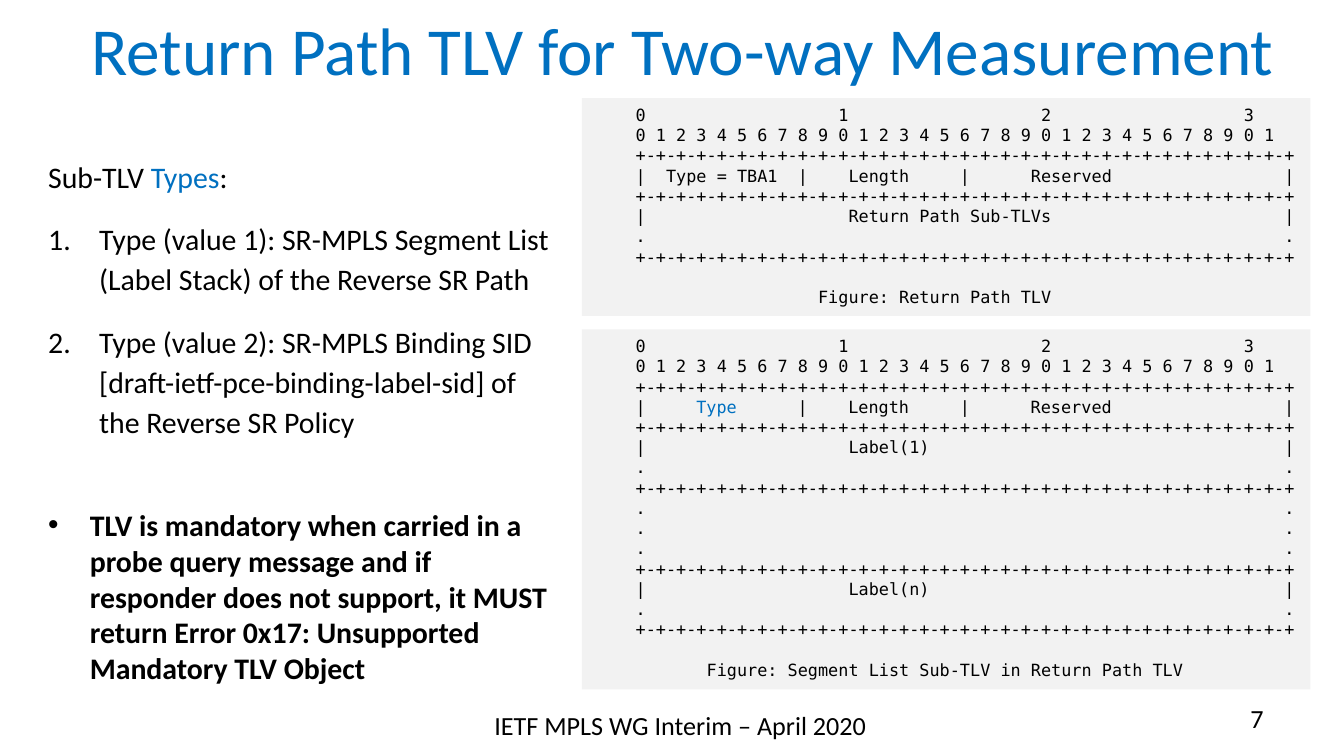
from lxml.etree import SubElement
from pptx import Presentation
from pptx.dml.color import RGBColor
from pptx.enum.shapes import MSO_SHAPE
from pptx.enum.text import MSO_ANCHOR, PP_ALIGN
from pptx.oxml.ns import qn
from pptx.util import Inches, Pt

BLACK, BLUE, GRAY = "000000", "0070C0", "F2F2F2"
BODY, MONO = "Calibri", "DejaVu Sans Mono"

TITLE = "Return Path TLV for Two-way Measurement"
FOOTER = "IETF MPLS WG Interim – April 2020 "
PAGE = "7"
TYPES_LEAD = "Sub-TLV *Types*:"
TYPES = [
    "Type (value 1): SR-MPLS Segment List (Label Stack) of the Reverse SR Path",
    "Type (value 2): SR-MPLS Binding SID [draft-ietf-pce-binding-label-sid] of the Reverse SR Policy",
]
MANDATORY = ("TLV is mandatory when carried in a probe query message and if responder "
             "does not support, it MUST return Error 0x17: Unsupported Mandatory TLV Object")

BITS = 32
MARGIN = " " * 4
RULE = MARGIN + "+-" * BITS + "+"
DOTS = MARGIN + "." + " " * (2 * BITS - 1) + "."
RULER = [
    MARGIN + "".join(f"{n:<20}" for n in range(4)).rstrip(),
    MARGIN + " ".join(str(n % 10) for n in range(BITS)),
]


def fields(*cells):
    """Return one packet row with its cells between bars."""
    return MARGIN + "|" + "|".join(cells) + "|"


def wide(label):
    """Return one packet row holding a single full-width field."""
    return fields((" " * 20 + label).ljust(2 * BITS - 1))


LENGTH, RESERVED = "    Length     ", "      Reserved".ljust(31)
PACKETS = [
    (0.73, 1.62, RULER + [
        RULE, fields("  Type = TBA1  ", LENGTH, RESERVED),
        RULE, wide("Return Path Sub-TLVs"), DOTS, RULE,
    ], " " * 22 + "Figure: Return Path TLV"),
    (2.45, 2.68, RULER + [
        RULE, fields("     *Type*      ", LENGTH, RESERVED),
        RULE, wide("Label(1)"), DOTS, RULE, DOTS, DOTS, DOTS,
        RULE, wide("Label(n)"), DOTS, RULE,
    ], " " * 11 + "Figure: Segment List Sub-TLV in Return Path TLV"),
]


def rgb(color):
    """Return a colour from its hex string."""
    return RGBColor.from_string(color)


def write(tf, lines, size, font=BODY, color=BLACK, bold=False, align=PP_ALIGN.LEFT):
    """Fill a text frame, with starred words in blue, and return its paragraphs."""
    tf.word_wrap = True
    for i, line in enumerate(lines):
        p = tf.add_paragraph() if i else tf.paragraphs[0]
        p.alignment = align
        for j, text in enumerate(line.split("*")):
            r = p.add_run()
            r.text = text
            r.font.color.rgb = rgb(BLUE if j % 2 else color)
        for part in (p, *p.runs):
            part.font.size, part.font.name, part.font.bold = Pt(size), font, bold
    return tf.paragraphs


def add_text(box, lines, size, **style):
    """Add a text box and return its text frame."""
    tf = s.shapes.add_textbox(*map(Inches, box)).text_frame
    write(tf, lines, size, **style)
    return tf


def add_bullet(p, indent, tag, **attrs):
    """Give a paragraph a hanging bullet or number."""
    pPr = p._p.get_or_add_pPr()
    pPr.set("marL", str(Inches(indent)))
    pPr.set("indent", str(-Inches(indent)))
    font = SubElement(pPr, qn("a:buFont"))
    font.set("typeface", "Arial" if tag == "a:buChar" else BODY)
    bullet = SubElement(pPr, qn(tag))
    for name, value in attrs.items():
        bullet.set(name, value)
    for tail in pPr.findall(qn("a:defRPr")):
        pPr.append(tail)


prs = Presentation()
prs.slide_width = Inches(10)
prs.slide_height = prs.slide_width * 9 // 16
s = prs.slides.add_slide(prs.slide_layouts[6])

tf = add_text((0.49, -0.11, 9.18, 0.94), [TITLE], 36, color=BLUE, align=PP_ALIGN.CENTER)
tf.vertical_anchor = MSO_ANCHOR.MIDDLE
add_text((3.5, 5.23, 3.17, 0.39), [FOOTER], 14, align=PP_ALIGN.CENTER)
add_text((7.17, 5.18, 2.33, 0.39), [PAGE], 14, align=PP_ALIGN.RIGHT)

tf = add_text((0.26, 1.1, 4.01, 2.19), [TYPES_LEAD] + TYPES, 16)
for i, p in enumerate(tf.paragraphs):
    p.line_spacing = Pt(21.4)
    p.space_before = p.space_after = Pt(6)
    if i:
        add_bullet(p, 0.38, "a:buAutoNum", type="arabicPeriod")

tf = add_text((0.26, 3.72, 4.01, 1.45), [MANDATORY], 16, bold=True)
add_bullet(tf.paragraphs[0], 0.31, "a:buChar", char="•")

for top, height, rows, caption in PACKETS:
    sp = s.shapes.add_shape(MSO_SHAPE.RECTANGLE, *map(Inches, (4.33, top, 5.42, height)))
    sp.shadow.inherit = False
    sp.fill.solid()
    sp.fill.fore_color.rgb = rgb(GRAY)
    sp.line.fill.background()
    sp.text_frame.vertical_anchor = MSO_ANCHOR.TOP
    paragraphs = write(sp.text_frame, rows + [caption], 9, font=MONO)
    paragraphs[-1].space_before = Pt(10.8)

prs.save("out.pptx")
